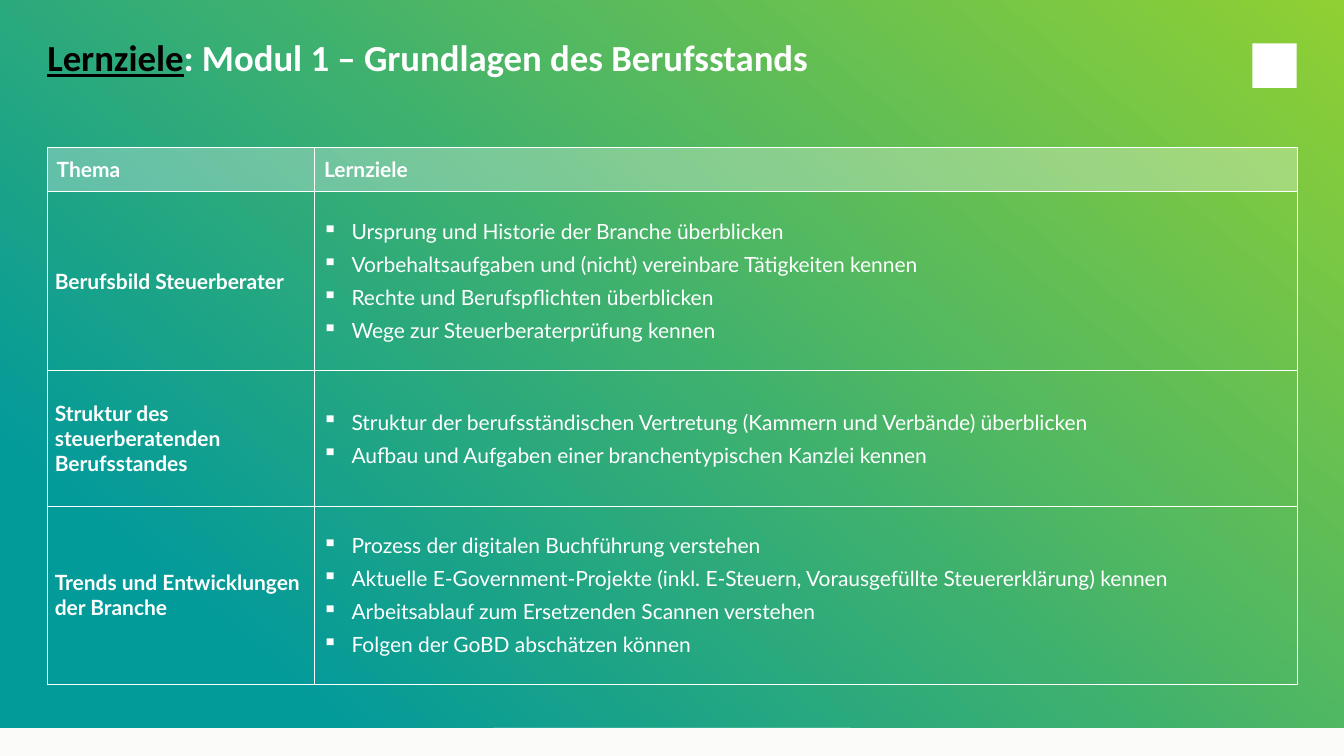
from lxml.etree import SubElement
from pptx import Presentation
from pptx.dml.color import RGBColor
from pptx.enum.shapes import MSO_SHAPE
from pptx.enum.text import MSO_ANCHOR, MSO_AUTO_SIZE, PP_ALIGN
from pptx.oxml.ns import qn
from pptx.util import Inches, Pt

COLORS = {
    "paper": "FBFBFA",
    "teal": "039A9A",
    "lime": "90D033",
    "white": "FFFFFF",
    "black": "000000",
}
HEADERS = ["Thema", "Lernziele"]
MODULES = [
    ("Berufsbild Steuerberater", [
        "Ursprung und Historie der Branche überblicken",
        "Vorbehaltsaufgaben und (nicht) vereinbare Tätigkeiten kennen",
        "Rechte und Berufspflichten überblicken",
        "Wege zur Steuerberaterprüfung kennen",
    ]),
    ("Struktur des steuerberatenden Berufsstandes", [
        "Struktur der berufsständischen Vertretung (Kammern und Verbände) überblicken",
        "Aufbau und Aufgaben einer branchentypischen Kanzlei kennen",
    ]),
    ("Trends und Entwicklungen der Branche", [
        "Prozess der digitalen Buchführung verstehen",
        "Aktuelle E-Government-Projekte (inkl. E-Steuern, Vorausgefüllte Steuererklärung) kennen",
        "Arbeitsablauf zum Ersetzenden Scannen verstehen",
        "Folgen der GoBD abschätzen können",
    ]),
]
COL_WIDTHS = [2.83, 10.4]
ROW_HEIGHTS = [0.47, 1.89, 1.44, 1.88]


def rgb(name):
    return RGBColor.from_string(COLORS[name])


def set_alpha(fill, percent):
    color = fill._xPr.find(qn("a:solidFill"))[0]
    SubElement(color, qn("a:alpha"), val=str(percent * 1000))


def style_font(font, size, name, color, bold=False):
    font.size, font.name, font.bold = Pt(size), name, bold
    font.color.rgb = rgb(color)


def add_rect(slide, left, top, width, height, color):
    sp = slide.shapes.add_shape(MSO_SHAPE.RECTANGLE, Inches(left), Inches(top),
                                Inches(width), Inches(height))
    sp.shadow.inherit = False
    sp.line.fill.background()
    sp.fill.solid()
    sp.fill.fore_color.rgb = rgb(color)
    return sp


def add_backdrop(slide):
    slide.background.fill.solid()
    slide.background.fill.fore_color.rgb = rgb("paper")
    sp = add_rect(slide, 0, 0, 14.22, 7.7, "teal")
    sp.fill.gradient()
    sp.fill.gradient_angle = 50
    stops = [(0.15, "teal"), (1, "lime")]
    for stop, (position, color) in zip(sp.fill.gradient_stops, stops):
        stop.position = position
        stop.color.rgb = rgb(color)
    # Logo block and footer strip
    add_rect(slide, 13.25, 0.46, 0.47, 0.47, "white")
    set_alpha(add_rect(slide, 5.22, 7.7, 3.78, 0.3, "paper").fill, 40)


def set_title(slide, lead, rest):
    sp = slide.shapes.title
    sp.left, sp.top = Inches(0.5), Inches(0)
    sp.width, sp.height = Inches(12.28), Inches(1.56)
    tf = sp.text_frame
    tf.auto_size = MSO_AUTO_SIZE.NONE
    tf.word_wrap = True
    tf.vertical_anchor = MSO_ANCHOR.TOP
    tf.margin_left = tf.margin_right = tf.margin_bottom = 0
    tf.margin_top = Inches(0.37)
    p = tf.paragraphs[0]
    p.alignment = PP_ALIGN.LEFT
    for text, color, underline in [(lead, "black", True), (rest, "white", False)]:
        r = p.add_run()
        r.text = text
        style_font(r.font, 28, "Calibri", color, bold=True)
        r.font.underline = underline


def add_borders(cell):
    tcPr = cell._tc.get_or_add_tcPr()
    for side in ("lnL", "lnR", "lnT", "lnB"):
        ln = SubElement(tcPr, qn(f"a:{side}"), w=str(Pt(0.75)))
        solid = SubElement(ln, qn("a:solidFill"))
        SubElement(solid, qn("a:srgbClr"), val=COLORS["white"])


def add_bullet(p):
    pPr = p._p.get_or_add_pPr()
    pPr.set("marL", str(Inches(0.31)))
    pPr.set("indent", str(-Inches(0.31)))
    color = SubElement(pPr, qn("a:buClr"))
    SubElement(color, qn("a:srgbClr"), val=COLORS["white"])
    SubElement(pPr, qn("a:buChar"), char="▪")


def fill_cell(cell, lines, header=False, bullets=False):
    cell.vertical_anchor = MSO_ANCHOR.MIDDLE
    add_borders(cell)
    if header:
        cell.fill.solid()
        cell.fill.fore_color.rgb = rgb("white")
        set_alpha(cell.fill, 30)
    else:
        cell.fill.background()
        cell.margin_left = cell.margin_right = Inches(0.08)
        cell.margin_top = cell.margin_bottom = Inches(0.08)
    tf = cell.text_frame
    tf.text = "\n".join(lines)
    for i, p in enumerate(tf.paragraphs):
        if i:
            p.space_before = Pt(6)
        if bullets:
            add_bullet(p)
        style_font(p.runs[0].font, 16, "Lato", "white", bold=not bullets)


def add_goals_table(slide):
    table = slide.shapes.add_table(
        len(ROW_HEIGHTS), len(COL_WIDTHS), Inches(0.5), Inches(1.56),
        Inches(sum(COL_WIDTHS)), Inches(sum(ROW_HEIGHTS))).table
    table.first_row = table.horz_banding = False
    for column, width in zip(table.columns, COL_WIDTHS):
        column.width = Inches(width)
    for row, height in zip(table.rows, ROW_HEIGHTS):
        row.height = Inches(height)
    for c, text in enumerate(HEADERS):
        fill_cell(table.cell(0, c), [text], header=True)
    for r, (topic, goals) in enumerate(MODULES, start=1):
        fill_cell(table.cell(r, 0), [topic])
        fill_cell(table.cell(r, 1), goals, bullets=True)


def main():
    prs = Presentation()
    prs.slide_width, prs.slide_height = Inches(14.22), Inches(8)
    slide = prs.slides.add_slide(prs.slide_layouts[5])
    add_backdrop(slide)
    # Bring the title in front of the backdrop
    slide.shapes._spTree.append(slide.shapes.title._element)
    set_title(slide, "Lernziele", ": Modul 1 – Grundlagen des Berufsstands")
    add_goals_table(slide)
    prs.save("out.pptx")


if __name__ == "__main__":
    main()
